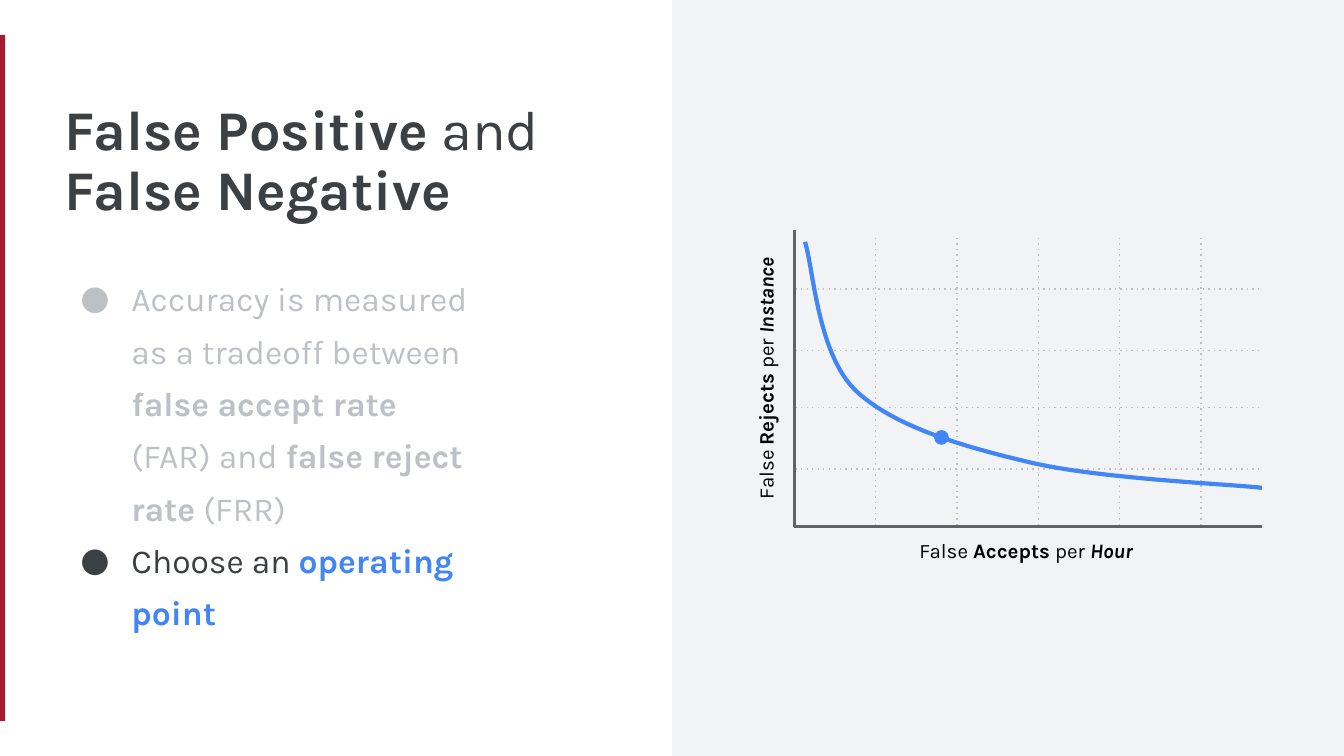
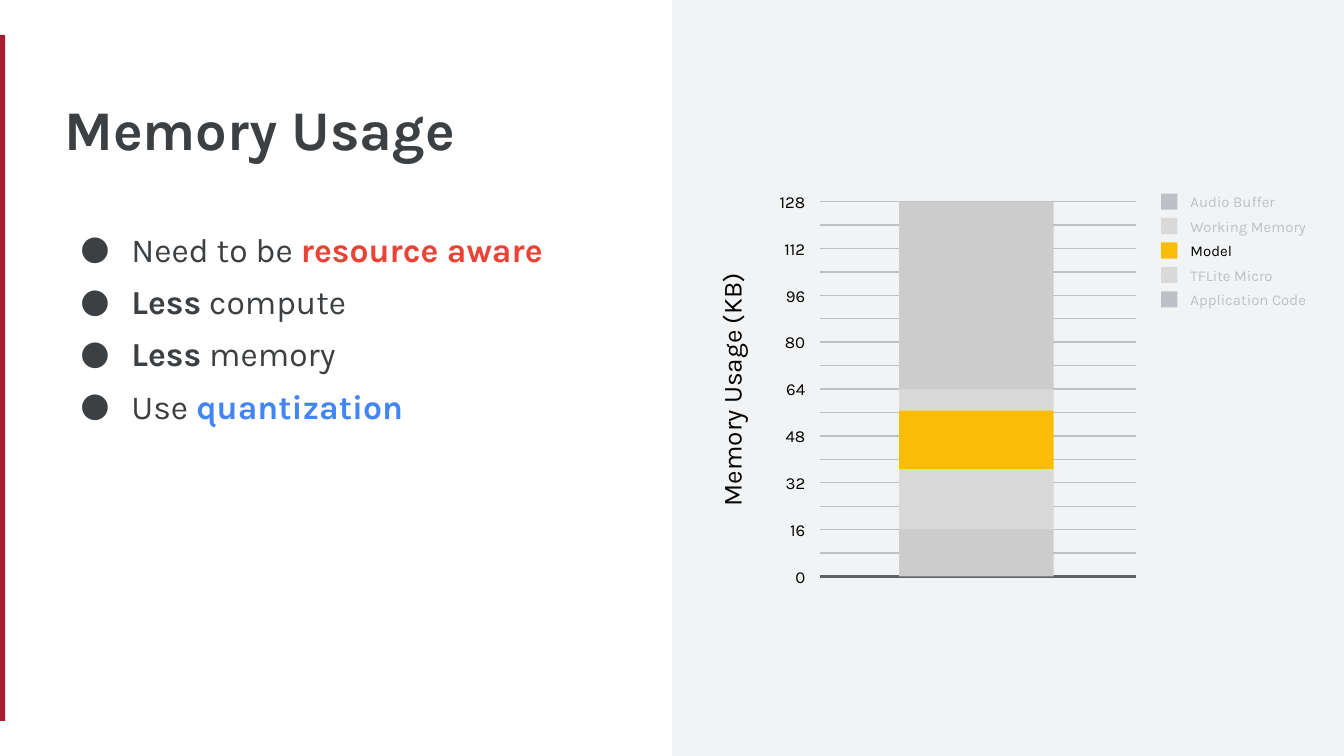
import dataclasses

import pptx
import pptx.dml.color
import pptx.enum.dml
import pptx.enum.shapes
import pptx.enum.text
import pptx.oxml
import pptx.oxml.ns
import pptx.util

COLUMNS, ROWS = 100, 56.25
CELL = pptx.util.Inches(0.1)
FONT = "Karla"
COLOURS = {
    "backdrop": "F1F3F4",
    "panel": "FFFFFF",
    "crimson": "A51C30",
    "ink": "3C4043",
    "black": "000000",
    "axis": "5F6368",
    "muted": "BDC1C6",
    "blue": "4285F4",
    "red": "EA4335",
    "yellow": "FBBC05",
    "grey": "CCCCCC",
    "pale": "D9D9D9",
}
SHAPES = pptx.enum.shapes.MSO_SHAPE
ALIGN = pptx.enum.text.PP_ALIGN
ANCHOR = pptx.enum.text.MSO_ANCHOR


@dataclasses.dataclass
class Box:
    left: float
    top: float
    width: float
    height: float

    def inner(self, left, top, width, height):
        return Box(self.left + left, self.top + top, width, height)

    def frame(self):
        return [cells(n) for n in (self.left, self.top, self.width, self.height)]

    @property
    def right(self):
        return self.left + self.width

    @property
    def bottom(self):
        return self.top + self.height


@dataclasses.dataclass
class Span:
    text: str
    bold: bool = False
    italic: bool = False
    colour: str = ""


@dataclasses.dataclass
class Para:
    spans: list
    colour: str = "ink"


def cells(count):
    return pptx.util.Emu(round(count * CELL))


def rgb(name):
    return pptx.dml.color.RGBColor.from_string(COLOURS[name])


def add_solid(page, box, colour, kind=SHAPES.RECTANGLE):
    shape = page.shapes.add_shape(kind, *box.frame())
    shape.shadow.inherit = False
    shape.fill.solid()
    shape.fill.fore_color.rgb = rgb(colour)
    shape.line.fill.background()


def add_line(page, start, end, colour, weight=0.75, dotted=False):
    ends = [cells(n) for n in (*start, *end)]
    connector = page.shapes.add_connector(pptx.enum.shapes.MSO_CONNECTOR.STRAIGHT, *ends)
    connector.line.color.rgb = rgb(colour)
    connector.line.width = pptx.util.Pt(weight)
    properties = connector._element.spPr
    if dotted:
        connector.line.dash_style = pptx.enum.dml.MSO_LINE.ROUND_DOT
        properties.find(".//" + pptx.oxml.ns.qn("a:prstDash")).set("val", "dot")
    properties.append(pptx.oxml.parse_xml(f'<a:effectLst {pptx.oxml.ns.nsdecls("a")}/>'))


def add_bullet(paragraph, colour):
    properties = paragraph._p.get_or_add_pPr()
    properties.set("marL", str(cells(5)))
    properties.set("indent", str(cells(-3.8)))
    namespace = pptx.oxml.ns.nsdecls("a")
    for element in (
        f'<a:buClr {namespace}><a:srgbClr val="{COLOURS[colour]}"/></a:buClr>',
        f'<a:buFont {namespace} typeface="{FONT}"/>',
        f'<a:buChar {namespace} char="●"/>',
    ):
        properties.append(pptx.oxml.parse_xml(element))


def add_text(page, box, paras, size, align=ALIGN.LEFT, anchor=ANCHOR.MIDDLE,
             spacing=None, bulleted=False, rotation=0):
    label = page.shapes.add_textbox(*box.frame())
    label.rotation = rotation
    frame = label.text_frame
    frame.word_wrap = True
    frame.vertical_anchor = anchor
    frame.margin_left = frame.margin_right = cells(1)
    frame.margin_top = frame.margin_bottom = cells(1)
    for index, para in enumerate(paras):
        paragraph = frame.add_paragraph() if index else frame.paragraphs[0]
        if bulleted:
            add_bullet(paragraph, para.colour)
        paragraph.alignment = align
        if spacing:
            paragraph.line_spacing = spacing
        paragraph.font.name = FONT
        paragraph.font.size = pptx.util.Pt(size)
        paragraph.font.color.rgb = rgb(para.colour)
        for span in para.spans:
            run = paragraph.add_run()
            run.text = span.text
            if span.bold:
                run.font.bold = True
            if span.italic:
                run.font.italic = True
            if span.colour:
                run.font.color.rgb = rgb(span.colour)


def add_page(deck, title, body, body_box):
    page = deck.slides.add_slide(deck.slide_layouts[6])
    page.background.fill.solid()
    page.background.fill.fore_color.rgb = rgb("backdrop")
    add_solid(page, Box(-0.2, 0, COLUMNS / 2 + 0.2, ROWS), "panel")
    add_solid(page, Box(-0.2, 2.6, 0.6, ROWS - 5.2), "crimson")
    add_text(page, Box(3.8, 6.6, 42.3, 10.6), [Para(title)], 30,
             anchor=ANCHOR.TOP, spacing=0.9)
    add_text(page, body_box, body, 18, anchor=ANCHOR.TOP, spacing=1.3, bulleted=True)
    return page


def bezier_points(start, curves, steps=24):
    points = [start]
    for first, second, end in curves:
        corners = (start, first, second, end)
        for step in range(1, steps + 1):
            t = step / steps
            weights = ((1 - t) ** 3, 3 * t * (1 - t) ** 2, 3 * t * t * (1 - t), t ** 3)
            points.append(tuple(
                sum(weight * corner[axis] for weight, corner in zip(weights, corners))
                for axis in (0, 1)
            ))
        start = end
    return points


def add_tradeoff_curve(page, box):
    for column in range(1, 6):
        x = box.left + column * 6.05
        add_line(page, (x, box.top + 0.6), (x, box.bottom - 0.2), "muted", dotted=True)
    for row in (4.4, 9, 13.2, 17.8):
        y = box.top + row
        add_line(page, (box.left + 0.1, y), (box.right - 0.3, y), "muted", dotted=True)

    curves = [
        ((1.4, 2.7), (1.7, 9.1), (4.5, 11.9)),
        ((7.3, 14.6), (12.4, 16.1), (17.5, 17.3)),
        ((22.5, 18.5), (31.9, 18.9), (34.8, 19.2)),
    ]
    points = [
        (cells(box.left + x), cells(box.top + y))
        for x, y in bezier_points((0.8, 0.9), curves)
    ]
    builder = page.shapes.build_freeform(*points[0])
    builder.add_line_segments(points[1:], close=False)
    curve = builder.convert_to_shape()
    curve.shadow.inherit = False
    curve.fill.background()
    curve.line.color.rgb = rgb("blue")
    curve.line.width = pptx.util.Pt(2.25)

    corner = (box.left, box.bottom)
    add_line(page, corner, (box.left, box.top), "axis", 1.5)
    add_line(page, (box.right, box.bottom), corner, "axis", 1.5)
    for subject, unit, left, top, rotation in (
        ("Accepts", "Hour", 5.3, 22.4, 0),
        ("Rejects", "Instance", -14.1, 9.6, 270),
    ):
        spans = [Span("False "), Span(subject, True), Span(" per "), Span(unit, True, True)]
        add_text(page, box.inner(left, top, 23.9, 2.9), [Para(spans, "black")], 11,
                 ALIGN.CENTER, rotation=rotation)
    add_solid(page, box.inner(10.4, 14.9, 1.1, 1.1), "blue", SHAPES.OVAL)


def add_memory_stack(page, box):
    limit, line_step, label_step = 128, 8, 16
    scale = box.height / limit
    for value in range(limit, -1, -line_step):
        y = box.bottom - value * scale
        style = ("muted", 0.75) if value else ("axis", 1.5)
        add_line(page, (box.left, y), (box.right, y), *style)
    for value in range(0, limit + 1, label_step):
        middle = box.height - value * scale
        add_text(page, box.inner(-9.4, middle - 0.95, 9.3, 1.9),
                 [Para([Span(str(value))], "black")], 9, ALIGN.RIGHT)

    filled = 0
    for amount, colour in ((16, "grey"), (20.7, "pale"), (20, "yellow"),
                           (7.3, "pale"), (64, "grey")):
        filled += amount
        add_solid(page, box.inner(5.9, box.height - filled * scale, 11.5, amount * scale),
                  colour)
    add_text(page, box.inner(-16.9, 11.2, 20.6, 5.6),
             [Para([Span("Memory Usage (KB)")], "black")], 14, ALIGN.CENTER, rotation=270)


def add_legend(page, box):
    entries = [
        ("Audio Buffer", "muted", "muted"),
        ("Working Memory", "pale", "muted"),
        ("Model", "yellow", "black"),
        ("TFLite Micro", "pale", "muted"),
        ("Application Code", "muted", "muted"),
    ]
    pitch = box.height / len(entries)
    for row, (name, swatch, colour) in enumerate(entries):
        add_solid(page, box.inner(0, row * pitch, 1.2, 1.2), swatch)
        add_text(page, box.inner(1.2, row * pitch - 0.35, box.width - 1.2, 1.9),
                 [Para([Span(name)], colour)], 8)


def build_tradeoff_page(deck):
    title = [Span("False Positive", True), Span(" and "), Span("False Negative", True)]
    body = [
        Para([
            Span("Accuracy is measured as a tradeoff between "),
            Span("false accept rate", True),
            Span(" (FAR) and "),
            Span("false reject rate", True),
            Span(" (FRR)"),
        ], "muted"),
        Para([Span("Choose an "), Span("operating point", True, colour="blue")]),
    ]
    page = add_page(deck, title, body, Box(3.8, 18.8, 32.6, 22.4))
    add_tradeoff_curve(page, Box(59.1, 17.1, 34.8, 22.1))


def build_memory_page(deck):
    body = [
        Para([Span("Need to be "), Span("resource aware", True, colour="red")]),
        Para([Span("Less", True), Span(" compute")]),
        Para([Span("Less", True), Span(" memory")]),
        Para([Span("Use "), Span("quantization", True, colour="blue")]),
    ]
    page = add_page(deck, [Span("Memory Usage", True)], body, Box(3.8, 15.1, 42.3, 26.1))
    add_memory_stack(page, Box(61, 15, 23.5, 27.9))
    add_legend(page, Box(86.4, 14.4, 13.6, 9.1))


def main():
    deck = pptx.Presentation()
    deck.slide_width = cells(COLUMNS)
    deck.slide_height = cells(ROWS)
    build_tradeoff_page(deck)
    build_memory_page(deck)
    deck.save("out.pptx")


if __name__ == "__main__":
    main()
